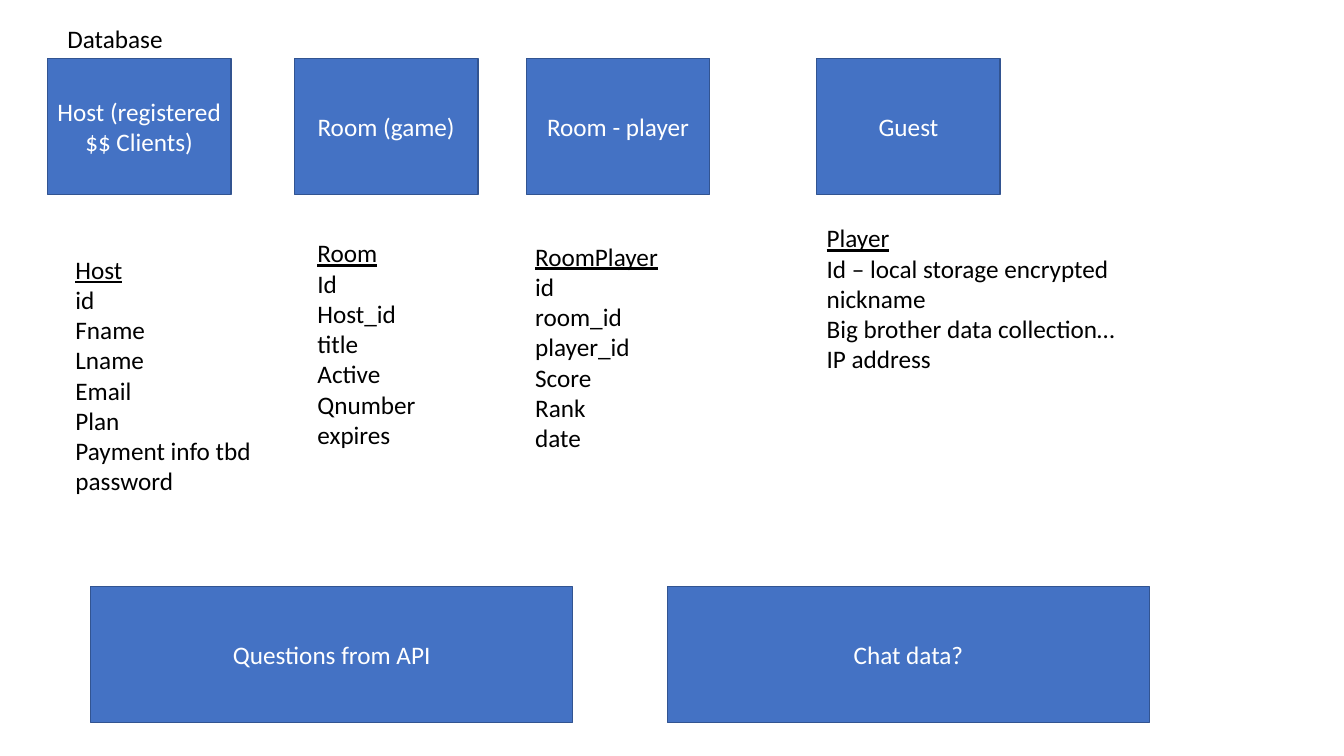
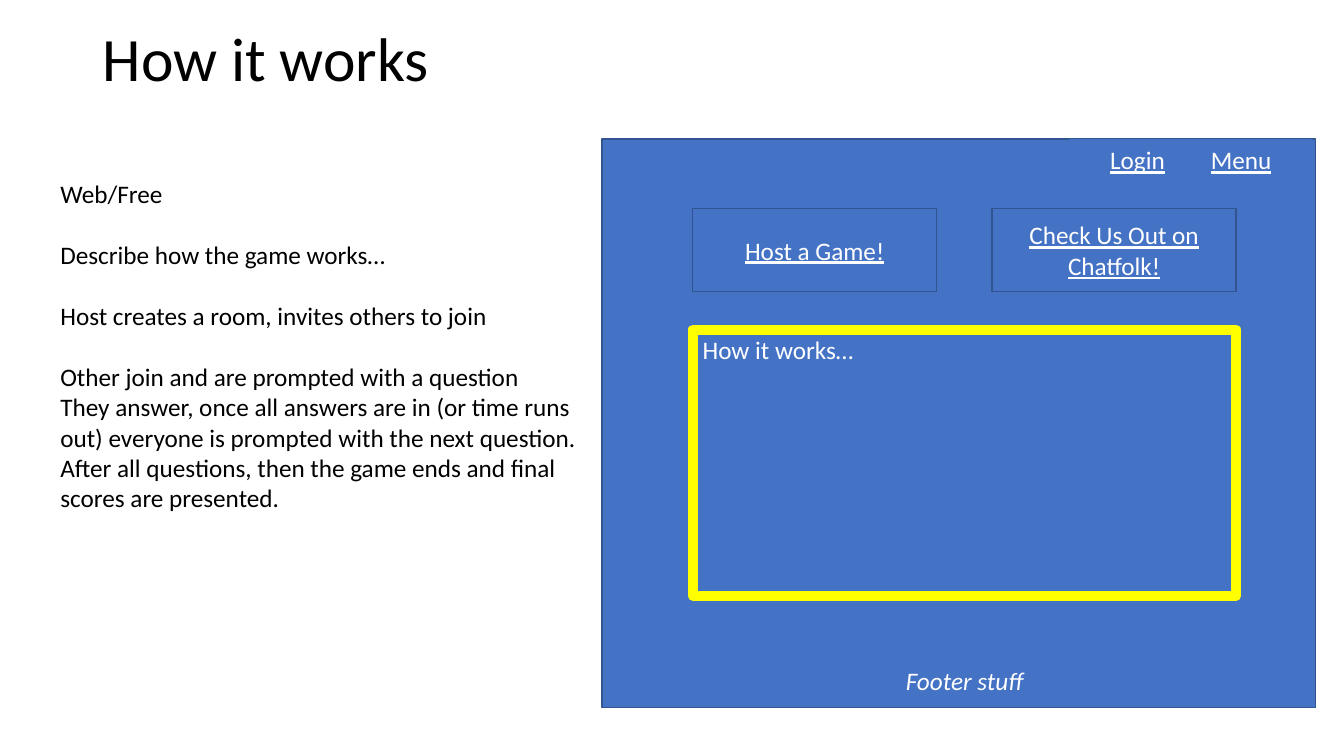
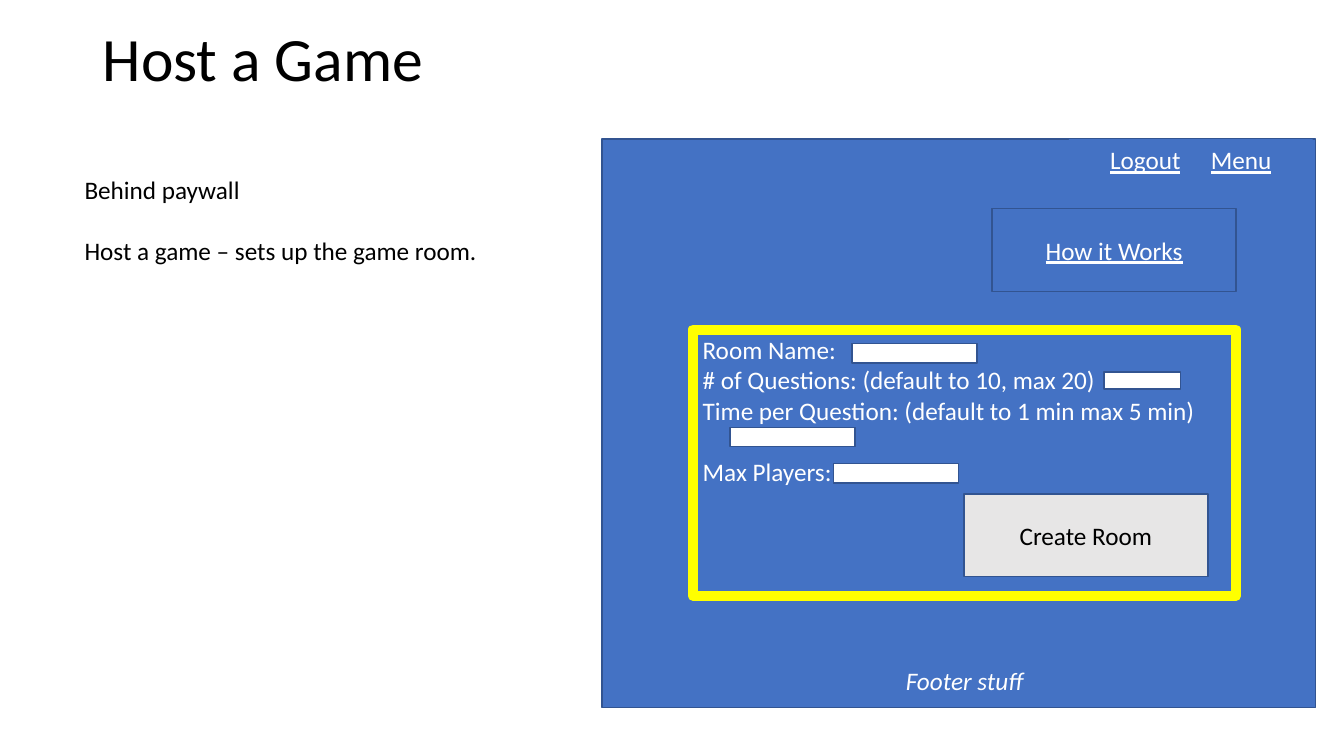
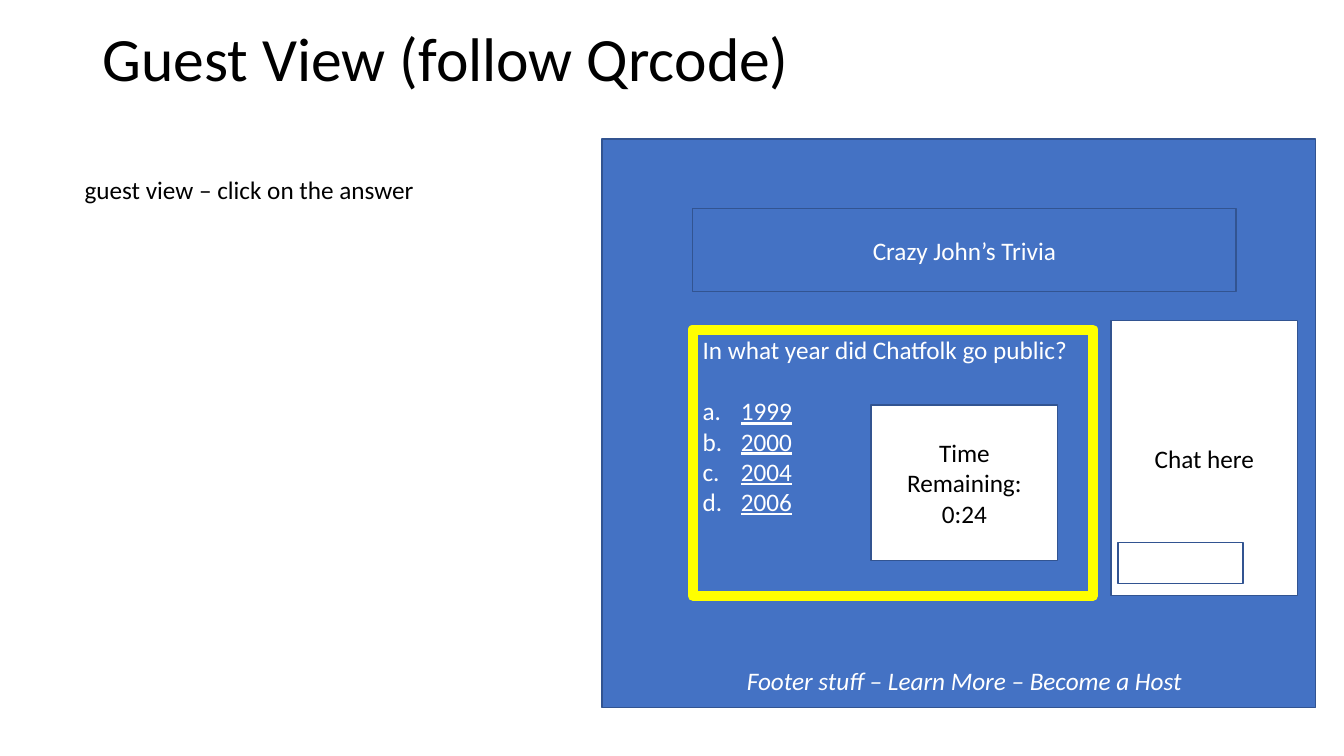
from lxml import etree
from pptx import Presentation
from pptx.dml.color import RGBColor
from pptx.enum.shapes import MSO_SHAPE
from pptx.enum.text import MSO_ANCHOR, MSO_AUTO_SIZE, PP_ALIGN
from pptx.oxml.ns import qn
from pptx.util import Inches, Pt

RECT = MSO_SHAPE.RECTANGLE
TOP, MIDDLE = MSO_ANCHOR.TOP, MSO_ANCHOR.MIDDLE
LEFT, CENTER = PP_ALIGN.LEFT, PP_ALIGN.CENTER
GROW = MSO_AUTO_SIZE.SHAPE_TO_FIT_TEXT

FONT = "Calibri"
BLUE, EDGE, YELLOW = "4472C4", "325491", "FFFF00"
WHITE, BLACK, GRAY = "FFFFFF", "000000", "E7E6E6"
BODY_SIZE, TITLE_SIZE = 18, 44
LINE_GAP = 22  # points, one body line
LINK = {"underline": True}
ITALIC = {"italic": True}

# Content. An empty string opens a gap of one line above the next paragraph.
DATABASE_LABEL = ("Database", (0.57, 0.18, 1.22, 0.4))
# box caption, box left, field list position and size, entity, fields
ENTITIES = [
    ("Host (registered $$ Clients)", 0.47, (0.65, 2.47, 1.96, 2.52), "Host",
     ["id", "Fname", "Lname", "Email", "Plan", "Payment info tbd", "password"]),
    ("Room (game)", 2.92, (3.05, 2.31, 1.19, 2.22), "Room",
     ["Id", "Host_id", "title", "Active", "Qnumber", "expires"]),
    ("Room - player", 5.22, (5.21, 2.34, 1.43, 2.22), "RoomPlayer",
     ["id", "room_id", "player_id", "Score", "Rank", "date"]),
    ("Guest", 8.1, (8.1, 2.16, 3.09, 1.62), "Player",
     ["Id – local storage encrypted", "nickname",
      "Big brother data collection…", "IP address"]),
]
SOURCES = [("Questions from API", 0.9), ("Chat data?", 6.62)]

HOW_NOTES = [
    "Web/Free", "",
    "Describe how the game works…", "",
    "Host creates a room, invites others to join", "",
    "Other join and are prompted with a question",
    "They answer, once all answers are in (or time runs",
    "out) everyone is prompted with the next question.",
    "After all questions, then the game ends and final",
    "scores are presented.",
]
HOST_NOTES = ["Behind paywall", "", "Host a game – sets up the game room."]
GUEST_NOTES = ["guest view – click on the answer"]

ROOM_FORM = [
    "Room Name:",
    "# of Questions: (default to 10, max 20)",
    "Time per Question: (default to 1 min max 5 min)", "",
    "Max Players:",
]
ROOM_INPUTS = [(8.45, 3.41, 1.24, 0.19), (10.95, 3.69, 0.76, 0.17),
               (7.24, 4.24, 1.24, 0.19), (8.27, 4.6, 1.24, 0.19)]
QUESTION = ["In what year did Chatfolk go public?", ""]
ANSWERS = ["1999", "2000", "2004", "2006"]
FOOTER = "Footer stuff"

# Layout of the mock-up page
PAGE = (5.97, 1.38, 7.08, 5.64)
INNER_LEFT, INNER_W = 6.87, 5.39
BUTTON_W, BUTTON_H, BUTTON_TOP = 2.42, 0.82, 2.07
RIGHT_BUTTON = INNER_LEFT + INNER_W - BUTTON_W
BAR_H, BAR_LEFT, FOOTER_TOP = 0.41, 10.6, 6.55
PANEL_TOP, PANEL_H = 3.27, 2.64
ENTITY_TOP, ENTITY_W, BOX_H = 0.58, 1.82, 1.35
SOURCE_TOP, SOURCE_W = 5.82, 4.78


def rgb(value):
    """Turn a hex string into a colour."""
    return RGBColor.from_string(value)


def add_run(p, text, color, size, fmt):
    """Add one run with the shared font and the given font values."""
    r = p.add_run()
    r.text = text
    r.font.color.rgb = rgb(color)
    values = {"name": FONT, "size": Pt(size), **fmt}
    for key, value in values.items():
        setattr(r.font, key, value)


def letter_item(p):
    """Number a paragraph a., b., c. with a hanging indent."""
    pPr = p._p.get_or_add_pPr()
    pPr.set("marL", str(Inches(0.38)))
    pPr.set("indent", str(-Inches(0.38)))
    etree.SubElement(pPr, qn("a:buFont"), typeface="+mj-lt")
    etree.SubElement(pPr, qn("a:buAutoNum"), type="alphaLcPeriod")


def tab_stop(p, inches):
    """Set one left tab stop."""
    tabs = etree.SubElement(p._p.get_or_add_pPr(), qn("a:tabLst"))
    etree.SubElement(tabs, qn("a:tab"), pos=str(Inches(inches)), algn="l")


def write(tf, lines, color, align=LEFT, size=BODY_SIZE, fmt=None):
    """Fill a text frame; a line is a string or (string, font values, lettered)."""
    first, gap = True, 0
    for line in lines:
        if line == "":
            gap = LINE_GAP
            continue
        text, extra, lettered = (line, {}, False) if isinstance(line, str) else line
        p = tf.paragraphs[0] if first else tf.add_paragraph()
        p.alignment = align
        if gap:
            p.space_before = Pt(gap)
        if lettered:
            letter_item(p)
        if "\t" in text:
            tab_stop(p, 1)
        for i, piece in enumerate(text.split("\t")):
            if i:
                add_run(p, "\t", color, size, {})
            add_run(p, piece, color, size, {**(fmt or {}), **extra})
        first, gap = False, 0


def add_box(s, at, lines=(), fill=BLUE, line=EDGE, width=1, color=WHITE,
            align=CENTER, anchor=MIDDLE, fmt=None):
    """Add a rectangle with text; no fill or line where it is None."""
    sp = s.shapes.add_shape(RECT, *map(Inches, at))
    sp.shadow.inherit = False
    if fill:
        sp.fill.solid()
        sp.fill.fore_color.rgb = rgb(fill)
    else:
        sp.fill.background()
    if line:
        sp.line.color.rgb = rgb(line)
        sp.line.width = Pt(width)
    else:
        sp.line.fill.background()
    tf = sp.text_frame
    tf.word_wrap, tf.vertical_anchor = True, anchor
    write(tf, lines, color, align, fmt=fmt)


def add_text(s, at, lines):
    """Add a black text box that grows with its lines."""
    tf = s.shapes.add_textbox(*map(Inches, at)).text_frame
    tf.word_wrap, tf.auto_size = False, GROW
    write(tf, lines, BLACK)


def add_title(s, text):
    """Add the slide title."""
    tf = s.shapes.add_textbox(*map(Inches, (0.92, 0, 11.5, 1.22))).text_frame
    tf.word_wrap, tf.vertical_anchor = True, MIDDLE
    write(tf, [text], BLACK, size=TITLE_SIZE)
    tf.paragraphs[0].line_spacing = 0.9


def add_button(s, text, left, width=BUTTON_W, fmt=LINK):
    """Add a button in the row at the top of the page."""
    add_box(s, (left, BUTTON_TOP, width, BUTTON_H), [text], fmt=fmt)


def add_panel(s, lines, width=INNER_W):
    """Add the yellow-framed main panel."""
    add_box(s, (INNER_LEFT, PANEL_TOP, width, PANEL_H), lines, line=YELLOW,
            width=7.25, align=LEFT, anchor=TOP)


def add_page(title, notes, notes_at, footer, footer_w=BUTTON_W, menu=None):
    """Add a slide with title, notes and the mock-up page with its bars."""
    s = prs.slides.add_slide(blank)
    add_box(s, PAGE)
    add_title(s, title)
    if menu:
        add_box(s, (BAR_LEFT, PAGE[1], BUTTON_W, BAR_H), [menu], line=None, fmt=LINK)
    footer_left = INNER_LEFT + (INNER_W - footer_w) / 2
    add_box(s, (footer_left, FOOTER_TOP, footer_w, BAR_H), [footer], line=None,
            fmt=ITALIC)
    add_text(s, notes_at, notes)
    return s


def database_slide():
    """Entities with their fields, and the two other data sources."""
    s = prs.slides.add_slide(blank)
    for caption, left, fields_at, entity, fields in ENTITIES:
        add_box(s, (left, ENTITY_TOP, ENTITY_W, BOX_H), [caption])
        add_text(s, fields_at, [(entity, LINK, False), *fields])
    label, label_at = DATABASE_LABEL
    add_text(s, label_at, [label])
    for caption, left in SOURCES:
        add_box(s, (left, SOURCE_TOP, SOURCE_W, BOX_H), [caption])


def how_it_works_slide():
    """Public page that explains the game."""
    s = add_page("How it works", HOW_NOTES, (0.5, 1.72, 5.38, 3.74), FOOTER,
                 menu="Login\tMenu")
    add_button(s, "Host a Game!", INNER_LEFT)
    add_button(s, "Check Us Out on Chatfolk!", RIGHT_BUTTON)
    add_panel(s, ["How it works…"])


def host_slide():
    """Form that sets up a game room."""
    s = add_page("Host a Game", HOST_NOTES, (0.74, 1.68, 4.14, 1.01), FOOTER,
                 menu="Logout\tMenu")
    add_button(s, "How it Works", RIGHT_BUTTON)
    add_panel(s, ROOM_FORM)
    add_box(s, (9.56, 4.9, BUTTON_W, BUTTON_H), ["Create Room"], fill=GRAY, color=BLACK)
    for at in ROOM_INPUTS:
        add_box(s, at, fill=WHITE)


def guest_slide():
    """Question, timer and chat as a guest sees them."""
    s = add_page("Guest View (follow Qrcode)", GUEST_NOTES, (0.74, 1.68, 3.51, 0.4),
                 FOOTER + " – Learn More – Become a Host", footer_w=INNER_W)
    add_button(s, "Crazy John’s Trivia", INNER_LEFT, INNER_W, fmt=None)
    add_panel(s, QUESTION + [(year, LINK, True) for year in ANSWERS], width=3.97)
    add_box(s, (11.02, 3.18, 1.85, 2.73), ["Chat here"], fill=WHITE, color=BLACK)
    add_box(s, (11.09, 5.38, 1.24, BAR_H), fill=None)
    add_box(s, (8.64, 4.02, 1.85, 1.54), ["Time Remaining:", "0:24"], fill=WHITE,
            color=BLACK)


prs = Presentation()
prs.slide_width, prs.slide_height = Inches(13.33), Inches(7.5)
blank = prs.slide_layouts[6]
database_slide()
how_it_works_slide()
host_slide()
guest_slide()
prs.save("out.pptx")
